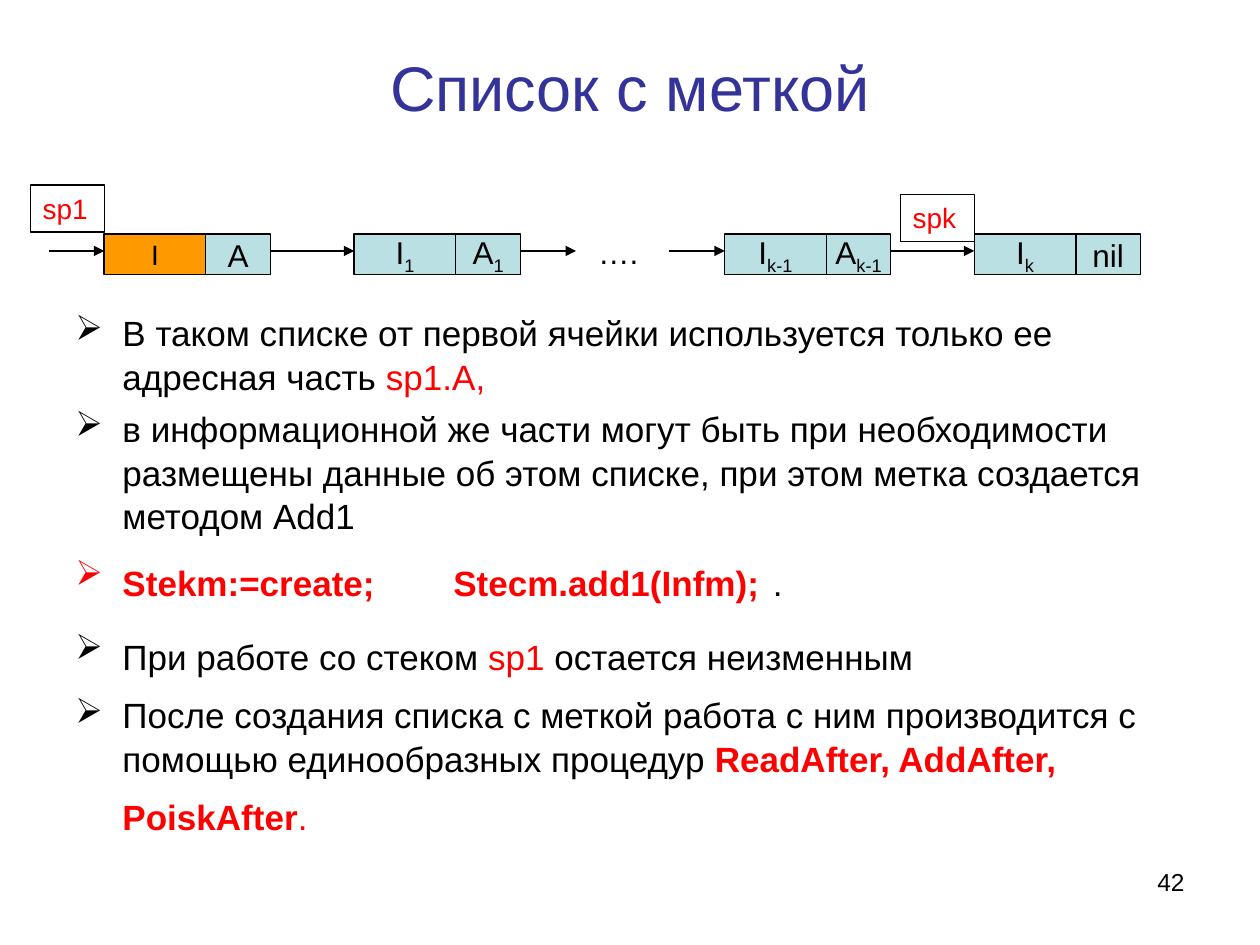
from dataclasses import dataclass
from lxml import etree
from pptx import Presentation
from pptx.dml.color import RGBColor
from pptx.enum.shapes import MSO_CONNECTOR, MSO_SHAPE
from pptx.enum.text import MSO_ANCHOR, PP_ALIGN
from pptx.oxml.ns import qn
from pptx.util import Cm, Pt

RECT = MSO_SHAPE.RECTANGLE
STRAIGHT = MSO_CONNECTOR.STRAIGHT
TOP, MIDDLE = MSO_ANCHOR.TOP, MSO_ANCHOR.MIDDLE
LEFT, CENTER, RIGHT = PP_ALIGN.LEFT, PP_ALIGN.CENTER, PP_ALIGN.RIGHT
FONT = "Arial"
BLACK, RED, BLUE = "000000", "FF0000", "333399"
ORANGE, AQUA = "FF9900", "BBE0E3"
CELL_Y, CELL_H, INFO_W, ADDR_W = 4.72, 0.82, 2.05, 1.3
NODE_W = INFO_W + ADDR_W
ARROW_Y, SHORT_ARROW = 5.06, 1.12
INDENT, TAB_STEP, TAB_COUNT = 0.95, 2.54, 8


@dataclass
class Run:
    text: str
    color: str = BLACK
    size: float = 20
    bold: bool = False
    sub: bool = False


@dataclass
class Node:
    x: float
    info: str
    addr: str
    index: str = ""
    addr_index: str = ""
    fill: str = AQUA
    info_size: float = 18


@dataclass
class Item:
    runs: list[Run]
    before: float
    bullet: str = BLACK


@dataclass
class Label:
    text: str
    x: float
    y: float


NODES = [
    Node(2.1, "I", "A", fill=ORANGE, info_size=16),
    Node(7.14, "I", "A", "1", "1"),
    Node(14.61, "I", "A", "k-1", "k-1"),
    Node(19.64, "I", "nil", "k"),
]
LABELS = [Label("sp1", 0.61, 3.73), Label("spk", 18.15, 3.92)]
ITEMS = [
    Item([Run("В таком списке от первой ячейки используется только ее адресная часть "),
          Run("sp1.A,", RED)], 0),
    Item([Run("в информационной же части могут быть при необходимости размещены "
              "данные об этом списке, при этом метка создается методом Add1")], 5),
    Item([Run("Stekm:=create;\tStecm.add1(Infm);", RED, bold=True),
          Run(" ", size=28), Run(".")], 5, RED),
    Item([Run("При работе со стеком "), Run("sp1 ", RED),
          Run("остается неизменным"), Run(" ", size=28)], 7),
    Item([Run("После создания списка с меткой работа с ним производится "
              "с помощью единообразных процедур "),
          Run("ReadAfter, AddAfter, PoiskAfter", RED, bold=True),
          Run(".", RED), Run(" ", RED, 28)], 7),
]


def rgb(value: str) -> RGBColor:
    return RGBColor.from_string(value)


def add_runs(p, runs: list[Run]) -> None:
    for run in runs:
        r = p.add_run()
        r.text = run.text
        r.font.name = FONT
        r.font.size = Pt(run.size)
        r.font.bold = run.bold
        r.font.color.rgb = rgb(run.color)
        if run.sub:
            r.font._element.set("baseline", "-25000")


def write(sp, runs: list[Run], align=LEFT, anchor=TOP, wrap: bool = True) -> None:
    tf = sp.text_frame
    tf.word_wrap = wrap
    tf.vertical_anchor = anchor
    p = tf.paragraphs[0]
    p.alignment = align
    add_runs(p, runs)


def add_text(s, x: float, y: float, w: float, h: float, runs: list[Run],
             align=LEFT, anchor=TOP) -> None:
    sp = s.shapes.add_textbox(Cm(x), Cm(y), Cm(w), Cm(h))
    write(sp, runs, align, anchor)


def add_box(s, x: float, y: float, w: float, h: float, fill: str | None = None):
    sp = s.shapes.add_shape(RECT, Cm(x), Cm(y), Cm(w), Cm(h))
    sp.shadow.inherit = False
    if fill:
        sp.fill.solid()
        sp.fill.fore_color.rgb = rgb(fill)
    else:
        sp.fill.background()
    sp.line.color.rgb = rgb(BLACK)
    sp.line.width = Pt(0.75)
    return sp


def add_cell(s, x: float, w: float, fill: str, text: str, index: str, size: float) -> None:
    runs = [Run(text, size=size)]
    if index:
        runs.append(Run(index, size=size, sub=True))
    write(add_box(s, x, CELL_Y, w, CELL_H, fill), runs, CENTER, MIDDLE, False)


def add_node(s, node: Node) -> None:
    add_cell(s, node.x, INFO_W, node.fill, node.info, node.index, node.info_size)
    add_cell(s, node.x + INFO_W, ADDR_W, AQUA, node.addr, node.addr_index, 18)


def add_arrow(s, x1: float, x2: float) -> None:
    sp = s.shapes.add_connector(STRAIGHT, Cm(x1), Cm(ARROW_Y), Cm(x2), Cm(ARROW_Y))
    sp.line.color.rgb = rgb(BLACK)
    sp.line.width = Pt(1.5)
    etree.SubElement(sp.line._get_or_add_ln(), qn("a:tailEnd"), type="triangle")
    etree.SubElement(sp._element.spPr, qn("a:effectLst"))


def add_bullet(p, color: str) -> None:
    pPr = p._p.get_or_add_pPr()
    pPr.set("marL", str(Cm(INDENT)))
    pPr.set("indent", str(-Cm(INDENT)))
    clr = etree.SubElement(pPr, qn("a:buClr"))
    etree.SubElement(clr, qn("a:srgbClr"), val=color)
    etree.SubElement(pPr, qn("a:buChar"), char="➢")
    tabs = etree.SubElement(pPr, qn("a:tabLst"))
    for i in range(1, TAB_COUNT + 1):
        etree.SubElement(tabs, qn("a:tab"), pos=str(Cm(i * TAB_STEP)), algn="l")


def add_list(s, x: float, y: float, w: float, h: float, items: list[Item]) -> None:
    tf = s.shapes.add_textbox(Cm(x), Cm(y), Cm(w), Cm(h)).text_frame
    tf.word_wrap = True
    for i, item in enumerate(items):
        p = tf.add_paragraph() if i else tf.paragraphs[0]
        add_bullet(p, item.bullet)
        p.line_spacing = 1.04
        p.space_before = Pt(item.before)
        add_runs(p, item.runs)


def main() -> None:
    prs = Presentation()
    prs.slide_width, prs.slide_height = Cm(25.4), Cm(19.05)
    s = prs.slides.add_slide(prs.slide_layouts[6])

    add_text(s, 1.27, 0.76, 22.86, 1.96, [Run("Список с меткой", BLUE, 36)], CENTER, MIDDLE)
    add_list(s, 1.27, 6.12, 22.86, 10.9, ITEMS)

    for node in NODES:
        add_node(s, node)
    first, second, third, last = [node.x for node in NODES]
    add_arrow(s, first - SHORT_ARROW, first)
    add_arrow(s, first + NODE_W, second)
    add_arrow(s, second + NODE_W, second + NODE_W + SHORT_ARROW)
    add_arrow(s, third - SHORT_ARROW, third)
    add_arrow(s, third + NODE_W, last)
    add_text(s, 11.81, 4.57, 1.68, 1.02, [Run("….", size=18)])

    for label in LABELS:
        write(add_box(s, label.x, label.y, 1.5, 0.95), [Run(label.text, RED, 16)])
    add_text(s, 18.21, 17.35, 5.92, 1.32, [Run("42", size=14)], RIGHT)
    prs.save("out.pptx")


if __name__ == "__main__":
    main()
